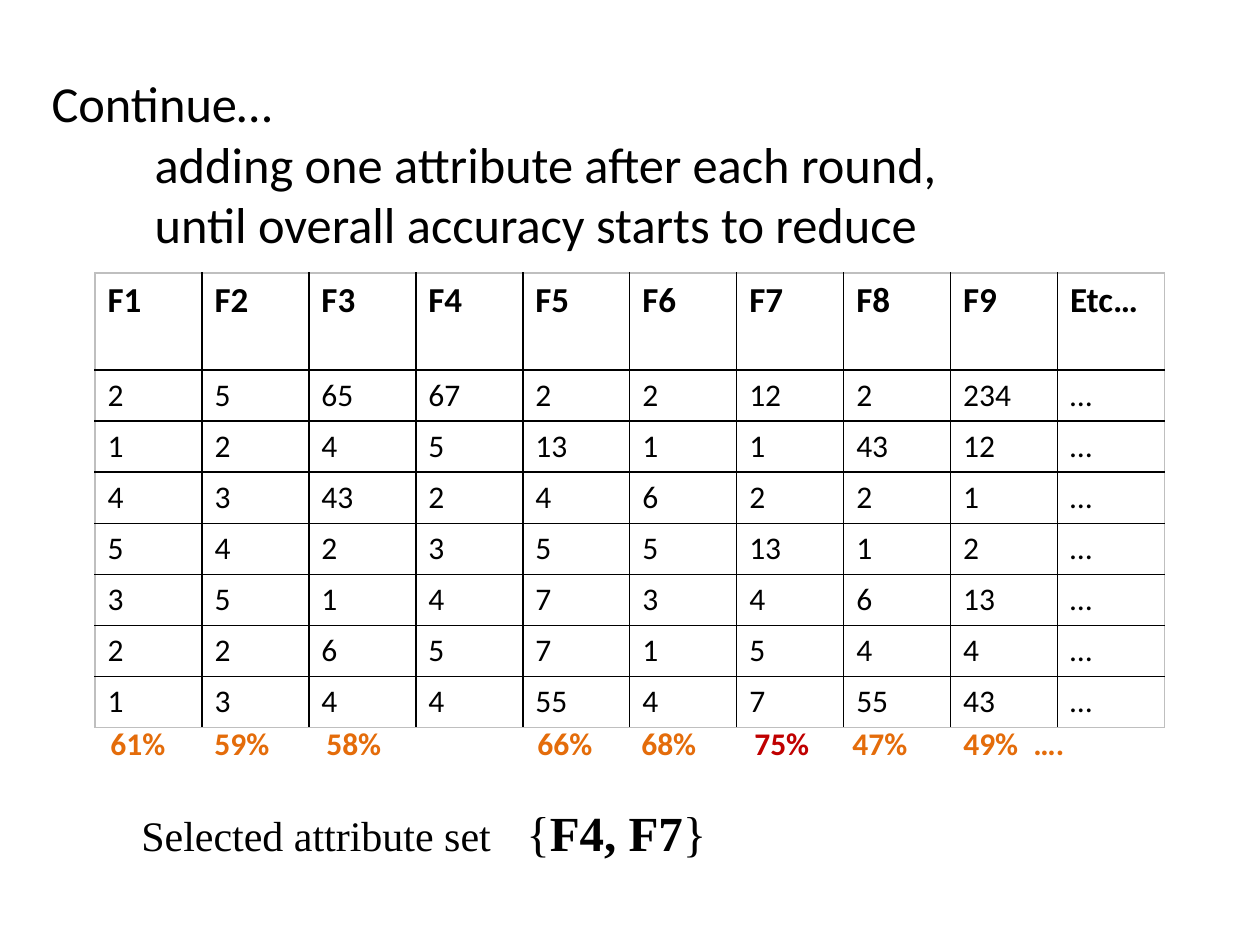
import lxml.etree
import pptx
import pptx.dml.color
import pptx.enum.text
import pptx.oxml.ns
import pptx.util

PX = 914400 / 126
COLORS = {"text": "000000", "grid": "000000", "frame": "BFBFBF",
          "score": "E46C0A", "best": "C00000"}
qn = pptx.oxml.ns.qn


def px(n):
    return pptx.util.Emu(round(n * PX))


def add_run(p, text, size, color="text", bold=False, font="Calibri"):
    r = p.add_run()
    r.text = text
    r.font.name = font
    r.font.size = pptx.util.Pt(size)
    r.font.bold = bold
    r.font.color.rgb = pptx.dml.color.RGBColor.from_string(COLORS[color])


prs = pptx.Presentation()
prs.slide_width, prs.slide_height = px(1260), px(945)
s = prs.slides.add_slide(prs.slide_layouts[5])

# Title
title = s.shapes.title
title.left, title.top, title.width, title.height = px(39), px(84), px(1196), px(158)
tf = title.text_frame
tf.auto_size = pptx.enum.text.MSO_AUTO_SIZE.NONE
tf.vertical_anchor = pptx.enum.text.MSO_ANCHOR.MIDDLE
lines = ["Continue…", "adding one attribute after each round,",
         "until overall accuracy starts to reduce"]
for i, line in enumerate(lines):
    p = tf.paragraphs[0] if i == 0 else tf.add_paragraph()
    p.alignment = pptx.enum.text.PP_ALIGN.LEFT
    p.space_before = pptx.util.Pt(0)
    if i > 0:
        p._p.get_or_add_pPr().set("marL", str(px(103)))
    add_run(p, line, 28.8)

# Attribute table
rows = [
    ["F1", "F2", "F3", "F4", "F5", "F6", "F7", "F8", "F9", "Etc…"],
    [2, 5, 65, 67, 2, 2, 12, 2, 234, "…"],
    [1, 2, 4, 5, 13, 1, 1, 43, 12, "…"],
    [4, 3, 43, 2, 4, 6, 2, 2, 1, "…"],
    [5, 4, 2, 3, 5, 5, 13, 1, 2, "…"],
    [3, 5, 1, 4, 7, 3, 4, 6, 13, "…"],
    [2, 2, 6, 5, 7, 1, 5, 4, 4, "…"],
    [1, 3, 4, 4, 55, 4, 7, 55, 43, "…"],
]
n_rows, n_cols = len(rows), len(rows[0])
table = s.shapes.add_table(n_rows, n_cols, px(95), px(273), px(1070), px(454)).table
table.horz_banding = False
for column in table.columns:
    column.width = px(107)
for i, values in enumerate(rows):
    table.rows[i].height = px(97 if i == 0 else 51)
    for j, value in enumerate(values):
        cell = table.cell(i, j)
        add_run(cell.text_frame.paragraphs[0], str(value),
                20 if i == 0 else 18, bold=i == 0)
        tcPr = cell._tc.get_or_add_tcPr()
        outer = {"lnL": j == 0, "lnR": j == n_cols - 1,
                 "lnT": i == 0, "lnB": i == n_rows - 1}
        for side, on_frame in outer.items():
            ln = lxml.etree.SubElement(tcPr, qn("a:" + side), w="12700")
            fill = lxml.etree.SubElement(ln, qn("a:solidFill"))
            lxml.etree.SubElement(fill, qn("a:srgbClr"),
                                  val=COLORS["frame" if on_frame else "grid"])
        cell.fill.background()

# Selected set and accuracy row, spaced with tab stops
serif = "Times New Roman"
notes = [
    ((129, 796, 592, 72), [385],
     [("Selected attribute set\t", 24, "text", False, serif),
      ("{", 28, "text", False, serif),
      ("F4, F7", 28, "text", True, serif),
      ("}", 28, "text", False, serif)]),
    ((98, 718, 1119, 50), [104, 216, 427, 531, 644, 742, 853, 923],
     [("61%\t59%\t58%\t66%\t68%\t", 18, "score", True),
      ("75%\t", 18, "best", True),
      ("47%\t49%\t….", 18, "score", True)]),
]
for box, stops, runs in notes:
    tf = s.shapes.add_textbox(*map(px, box)).text_frame
    tf.word_wrap = True
    p = tf.paragraphs[0]
    tabs = lxml.etree.SubElement(p._p.get_or_add_pPr(), qn("a:tabLst"))
    for stop in stops:
        lxml.etree.SubElement(tabs, qn("a:tab"), pos=str(px(stop)), algn="l")
    for run in runs:
        add_run(p, *run)

prs.save("out.pptx")
